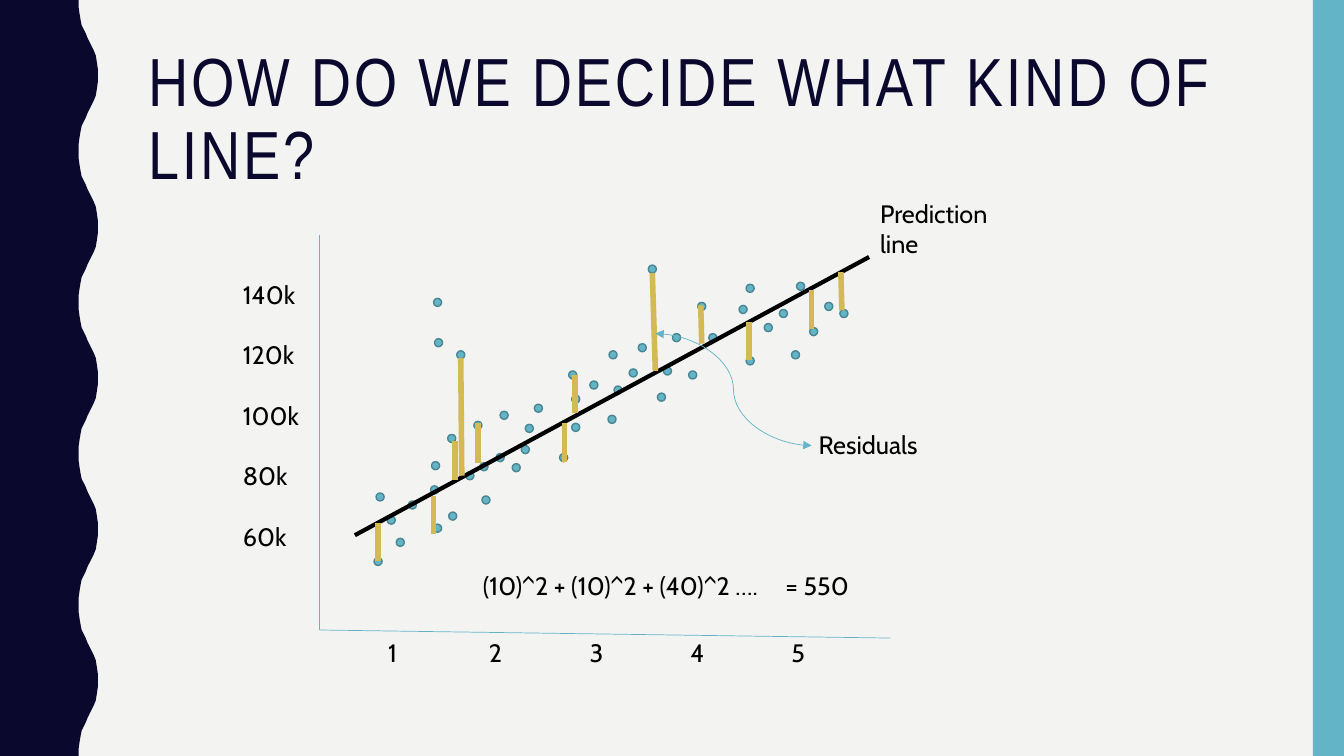
from lxml import etree
from pptx import Presentation
from pptx import util as u
from pptx.dml.color import RGBColor
from pptx.enum import shapes, text
from pptx.oxml import ns

NAVY = RGBColor(0x0B, 0x08, 0x2E)
TEAL = RGBColor(0x62, 0xB4, 0xC6)
DARK_TEAL = RGBColor(0x49, 0x85, 0x92)
GOLD = RGBColor(0xD3, 0xBA, 0x55)
BLACK = RGBColor(0, 0, 0)
PAPER = RGBColor(0xF3, 0xF3, 0xF2)

DOT_SIZE = 0.08
WAVE_PERIOD = 150
WAVE_RISE = [(78, 0), (78, 7), (79, 14), (80, 20), (81, 25), (83, 29), (85, 33),
             (87, 38), (89, 42), (91, 46), (93, 50), (95, 55), (96, 61), (97, 68)]
WAVE_FALL = [(97, 75)] + [(x, WAVE_PERIOD - y) for x, y in reversed(WAVE_RISE[1:])]

OBSERVATIONS = [
    (4.92, 4.5), (5.21, 4.21), (4.44, 4.31), (6.33, 3.41), (5.67, 3.92), (5.64, 3.68),
    (6.03, 4.12), (6.24, 3.66), (5.08, 4.6), (5.67, 4.2), (6.04, 3.48), (4.45, 5.08),
    (4.7, 4.18), (4.96, 4.08), (5.3, 4.01), (5.17, 4.42), (4.76, 4.59), (6.92, 3),
    (6.58, 3.64), (7.85, 3.48), (7.73, 3.07), (6.52, 3.9), (6.83, 3.68), (3.93, 5.34),
    (4.3, 5.2), (4.27, 4.82), (4.62, 4.68), (4.05, 4.97), (7.33, 3.03), (7.58, 3.21),
    (6.67, 3.31), (8.33, 3.07), (4.53, 3.48), (5.85, 3.78), (7.4, 2.82), (3.71, 5.53),
    (8.03, 3.25), (7.9, 2.8), (8.18, 3), (7.4, 3.54), (7.03, 3.31), (4.3, 2.96),
    (3.84, 5.12), (3.73, 4.89), (4.78, 4.92), (4.28, 4.58), (5.55, 4.5), (6.09, 3.83),
    (4.31, 3.36), (6.43, 2.63),
]
RESIDUALS = [
    (4.51, 4.38, 4.51, 4.76), (4.74, 4.2, 4.74, 4.59), (6.47, 2.71, 6.5, 3.68),
    (4.3, 4.92, 4.3, 5.3), (7.43, 3.19, 7.43, 3.57), (5.6, 4.2, 5.6, 4.58),
    (5.7, 3.72, 5.7, 4.1), (3.75, 5.19, 3.75, 5.57), (4.57, 3.55, 4.58, 4.72),
    (8.05, 2.88, 8.05, 3.26), (6.95, 3.03, 6.96, 3.41), (8.34, 2.7, 8.35, 3.08),
]


class SlideBuilder:
    font = "Cabin"
    size = 18

    def __init__(self, slide):
        self.slide = slide
        self.shapes = slide.shapes

    def background(self, color):
        fill = self.slide.background.fill
        fill.solid()
        fill.fore_color.rgb = color

    def paint(self, shape, fill, outline=None):
        shape.shadow.inherit = False
        shape.fill.solid()
        shape.fill.fore_color.rgb = fill
        if outline is None:
            shape.line.fill.background()
        else:
            shape.line.color.rgb = outline
            shape.line.width = u.Pt(1)

    def preset(self, kind, left, top, width, height, fill, outline=None):
        shape = self.shapes.add_shape(
            kind, u.Inches(left), u.Inches(top), u.Inches(width), u.Inches(height))
        self.paint(shape, fill, outline)

    def outline(self, points, fill):
        builder = self.shapes.build_freeform(*points[0], scale=u.Inches(0.01))
        builder.add_line_segments(points[1:], close=True)
        self.paint(builder.convert_to_shape(), fill)

    def line(self, ends, color, width, kind=shapes.MSO_CONNECTOR.STRAIGHT, arrows=False):
        connector = self.shapes.add_connector(kind, *(u.Inches(v) for v in ends))
        connector.line.color.rgb = color
        connector.line.width = u.Pt(width)
        if arrows:
            stroke = connector.line._get_or_add_ln()
            for end in ("a:headEnd", "a:tailEnd"):
                etree.SubElement(stroke, ns.qn(end), type="triangle")
        etree.SubElement(connector._element.spPr, ns.qn("a:effectLst"))

    def label(self, left, top, width, height, lines, size=None, font=None, color=BLACK,
              gap=0, leading=None, tracking=0, tabs=()):
        box = self.shapes.add_textbox(
            u.Inches(left), u.Inches(top), u.Inches(width), u.Inches(height))
        frame = box.text_frame
        frame.word_wrap = True
        frame.vertical_anchor = text.MSO_ANCHOR.TOP
        for index, wording in enumerate(lines):
            paragraph = frame.add_paragraph() if index else frame.paragraphs[0]
            if gap:
                paragraph.space_after = u.Pt(gap)
            if leading:
                paragraph.line_spacing = leading
            if tabs:
                stops = etree.SubElement(
                    paragraph._p.get_or_add_pPr(), ns.qn("a:tabLst"))
                for stop in tabs:
                    etree.SubElement(
                        stops, ns.qn("a:tab"), pos=str(u.Inches(stop)), algn="l")
            run = paragraph.add_run()
            run.text = wording
            run.font.name = font or self.font
            run.font.size = u.Pt(size or self.size)
            run.font.color.rgb = color
            if tracking:
                run.font._element.set("spc", str(tracking * 100))


def main():
    deck = Presentation()
    deck.slide_width = u.Inches(13.33)
    deck.slide_height = u.Inches(7.5)
    page = SlideBuilder(deck.slides.add_slide(deck.slide_layouts[6]))
    page.background(PAPER)

    wave = [(x, y + WAVE_PERIOD * cycle)
            for cycle in range(5) for x, y in WAVE_RISE + WAVE_FALL]
    page.outline([(0, 0)] + wave + [(78, 750), (0, 750)], NAVY)
    page.preset(shapes.MSO_SHAPE.RECTANGLE, 13.02, 0, 0.31, 7.5, TEAL)

    page.line((3.17, 2.33, 3.17, 6.25), TEAL, 0.5)
    page.line((3.17, 6.25, 8.83, 6.33), TEAL, 0.5)
    page.label(3.75, 6.27, 5.35, 0.4, ["1\t2\t3\t4\t5"], tabs=range(1, 5))
    page.label(2.31, 2.72, 0.91, 2.83,
               [f"{value}k" for value in range(140, 59, -20)], gap=21.6)

    for left, top in OBSERVATIONS:
        page.preset(shapes.MSO_SHAPE.OVAL, left, top, DOT_SIZE, DOT_SIZE, TEAL, DARK_TEAL)

    page.line((3.52, 5.31, 8.62, 2.55), BLACK, 3)
    page.label(8.63, 1.92, 1.38, 0.71, ["Prediction line"])
    for ends in RESIDUALS:
        page.line(ends, GOLD, 4)
    page.line((6.5, 3.31, 8.05, 4.42), TEAL, 0.5, shapes.MSO_CONNECTOR.CURVE, arrows=True)
    page.label(8.02, 4.21, 1.38, 0.4, ["Residuals"])
    page.label(4.69, 5.61, 4.46, 0.4, ["(10)^2 + (10)^2 + (40)^2 ….\t= 550"], tabs=[3])
    page.label(1.37, 0.42, 11.13, 1.63, ["HOW DO WE DECIDE WHAT KIND OF LINE?"],
               size=48.6, font="Arial Narrow", color=NAVY, leading=0.9, tracking=2)

    deck.save("out.pptx")


if __name__ == "__main__":
    main()
